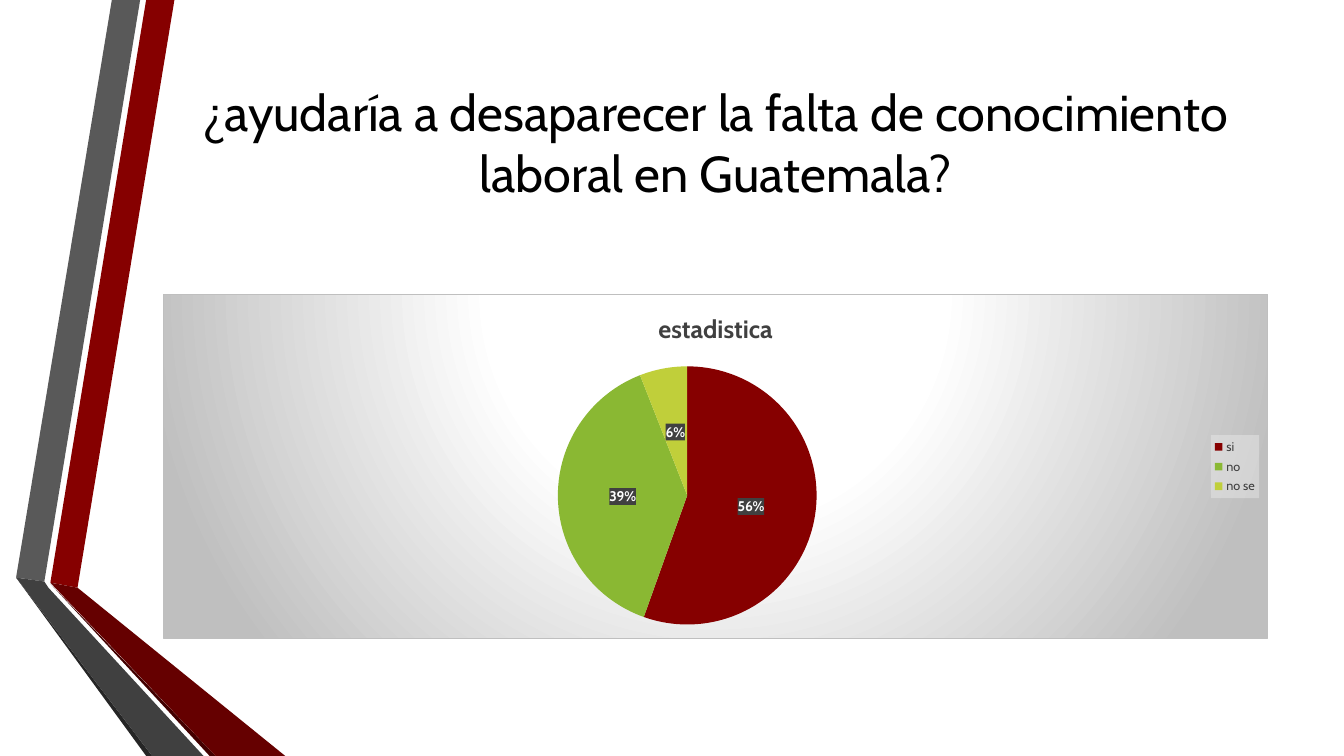
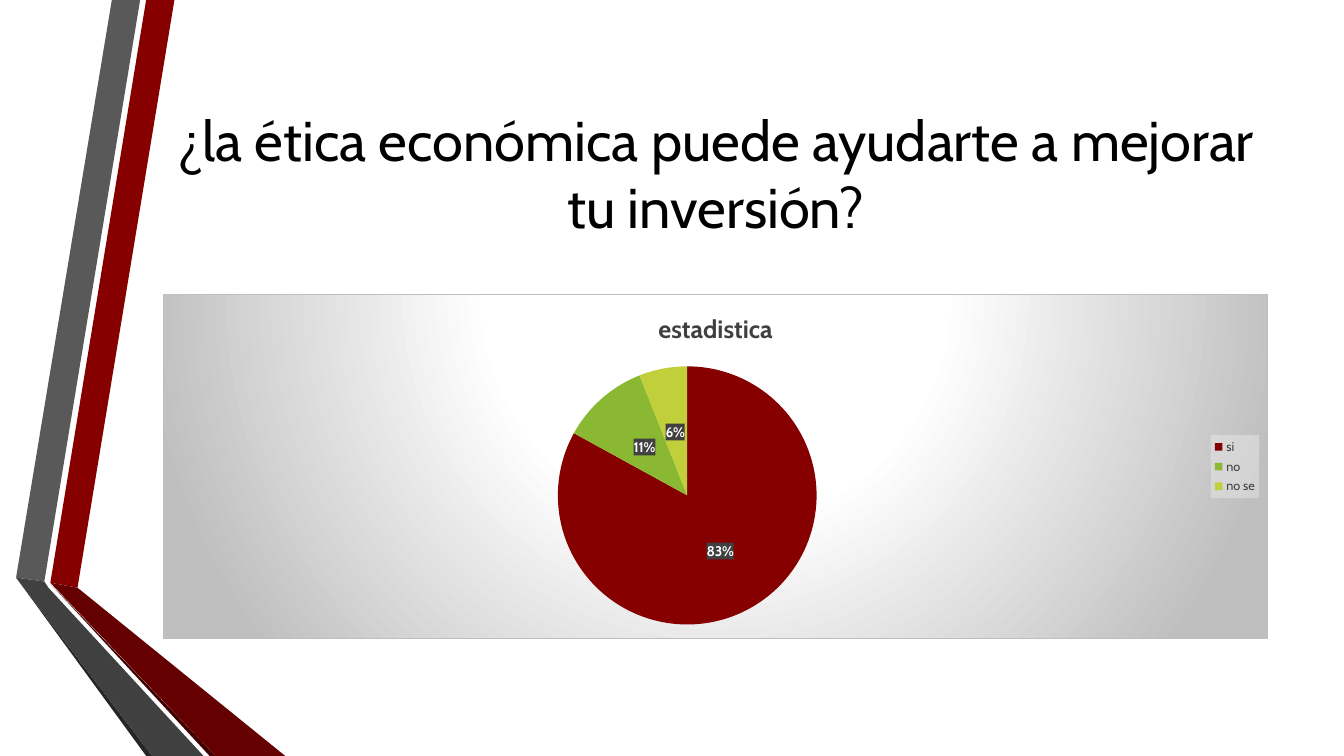
from lxml import etree
from pptx import Presentation
from pptx.chart.data import CategoryChartData
from pptx.dml.color import RGBColor
from pptx.enum.chart import XL_CHART_TYPE, XL_LABEL_POSITION, XL_LEGEND_POSITION
from pptx.enum.text import MSO_ANCHOR, MSO_AUTO_SIZE, PP_ALIGN
from pptx.oxml.ns import qn
from pptx.util import Pt

PIE = XL_CHART_TYPE.PIE
MIDDLE = MSO_ANCHOR.MIDDLE
CENTER = PP_ALIGN.CENTER
FIXED = MSO_AUTO_SIZE.NONE
INSIDE = XL_LABEL_POSITION.CENTER
RIGHT = XL_LEGEND_POSITION.RIGHT

FACE = "Cabin"
WHITE, BLACK, INK, EDGE = "FFFFFF", "000000", "404040", "BFBFBF"
RED, GREEN, LIME = "860000", "8AB833", "C0CF3A"
TITLE = (116.6, 54, 789.1, 138.2)
CHART = (116.6, 210.2, 789.1, 246.2)
BANDS = [
    (RED, [(36, 416.2), (55.4, 419.8), (124.6, 0), (104.4, 0)]),
    ("595959", [(100.1, 0), (79.9, 0), (11.5, 412.6), (31.7, 415.4)]),
    ("262626", [(11.5, 412.6), (104.4, 540), (108.7, 540)]),
    ("430000", [(36, 416.9), (149.8, 540), (154.1, 540)]),
    ("650000", [(36, 416.2), (154.1, 540), (203.8, 540), (55.4, 419.8)]),
    (INK, [(31.7, 415.4), (11.5, 412.6), (108.7, 540), (145.4, 540), (34.6, 419.8)]),
]
POLLS = [
    ("¿ayudaría a desaparecer la falta de conocimiento laboral en Guatemala?",
     36, 43.6, (56, 39, 6)),
    ("¿la ética económica puede ayudarte a mejorar tu inversión?",
     40, 0, (83, 11, 6)),
]
SPACE = ('xmlns:c="http://schemas.openxmlformats.org/drawingml/2006/chart" '
         'xmlns:a="http://schemas.openxmlformats.org/drawingml/2006/main"')


def color(code):
    return RGBColor.from_string(code)


def style(font, size, code, bold=False):
    font.name = FACE
    font.size = Pt(size)
    font.bold = bold
    font.color.rgb = color(code)


def tint(code, alpha=100):
    return (f'<a:solidFill><a:srgbClr val="{code}">'
            f'<a:alpha val="{alpha * 1000}"/></a:srgbClr></a:solidFill>')


def glow(stops):
    marks = "".join(
        f'<a:gs pos="{pos * 1000}"><a:srgbClr val="{code}"/></a:gs>' for pos, code in stops)
    return (f'<a:gradFill><a:gsLst>{marks}</a:gsLst><a:path path="circle">'
            '<a:fillToRect l="50000" t="-80000" r="50000" b="180000"/></a:path></a:gradFill>')


def paint(chart, tags, fill, line="<a:ln><a:noFill/></a:ln>"):
    node = chart.element.find(".//" + "/".join(map(qn, tags)))
    node.addnext(etree.fromstring(f"<c:spPr {SPACE}>{fill}{line}</c:spPr>"))


def add_bands(slide, layout):
    tree = layout.element.find(".//" + qn("p:spTree"))
    for code, points in BANDS:
        spots = [(Pt(x), Pt(y)) for x, y in points]
        path = slide.shapes.build_freeform(*spots[0])
        path.add_line_segments(spots[1:], close=True)
        band = path.convert_to_shape()
        band.shadow.inherit = False
        band.fill.solid()
        band.fill.fore_color.rgb = color(code)
        band.line.fill.background()
        tree.append(band.element)


def add_title(slide, box, text, size, lift):
    title = slide.shapes.title
    title.left, title.top, title.width, title.height = map(Pt, box)
    frame = title.text_frame
    frame.text = text
    frame.word_wrap = True
    frame.auto_size = FIXED
    frame.vertical_anchor = MIDDLE
    frame.margin_bottom = Pt(3.6 + lift)
    line = frame.paragraphs[0]
    line.alignment = CENTER
    style(line.runs[0].font, size, BLACK)


def add_pie(slide, box, values):
    data = CategoryChartData()
    data.categories = ["si", "no", "no se"]
    data.add_series("estadistica", values)
    chart = slide.shapes.add_chart(PIE, *map(Pt, box), data).chart
    style(chart.font, 10, BLACK)
    paint(chart, ["c:chart"],
          glow([(0, WHITE), (39, WHITE), (100, EDGE)]),
          f'<a:ln w="9525">{tint(EDGE)}</a:ln>')

    chart.has_title = True
    head = chart.chart_title.text_frame
    head.text = "estadistica"
    style(head.paragraphs[0].runs[0].font, 18, INK, True)

    chart.has_legend = True
    key = chart.legend
    key.position = RIGHT
    key.include_in_layout = False
    style(key.font, 9, INK)
    paint(chart, ["c:legend", "c:overlay"], tint("F2F2F2", 39))

    plot = chart.plots[0]
    plot.vary_by_categories = True
    for spot, code in enumerate((RED, GREEN, LIME)):
        part = plot.series[0].points[spot].format
        part.fill.solid()
        part.fill.fore_color.rgb = color(code)
        part.line.fill.background()

    plot.has_data_labels = True
    tags = plot.data_labels
    tags.show_value = True
    tags.show_percentage = False
    tags.number_format = '0"%"'
    tags.number_format_is_linked = False
    tags.position = INSIDE
    style(tags.font, 10, WHITE, True)
    paint(chart, ["c:dLbls", "c:numFmt"], tint(INK, 95))


def main():
    deck = Presentation()
    deck.slide_width, deck.slide_height = Pt(960), Pt(540)
    layout = deck.slide_layouts[5]
    for text, size, lift, values in POLLS:
        slide = deck.slides.add_slide(layout)
        add_title(slide, TITLE, text, size, lift)
        add_pie(slide, CHART, values)
    add_bands(slide, layout)
    deck.save("out.pptx")


if __name__ == "__main__":
    main()
